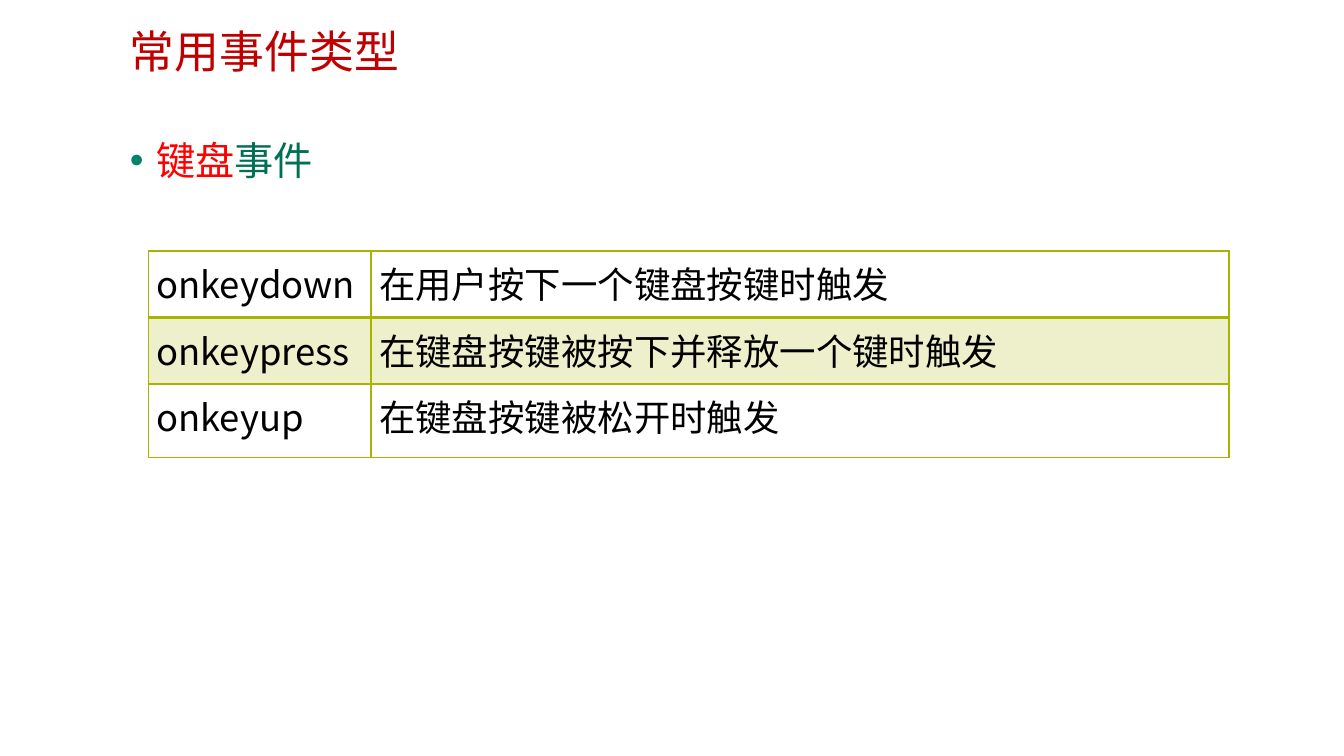
from lxml.etree import SubElement
from pptx import Presentation
from pptx.dml.color import RGBColor
from pptx.enum.text import MSO_ANCHOR
from pptx.oxml.ns import qn
from pptx.util import Inches, Pt

FONT = "Noto Sans CJK SC"
OLIVE = "A8B400"


def add_text(paragraph, text, size, color, font=FONT):
    """Add one run with its size, colour and Latin and East Asian fonts."""
    run = paragraph.add_run()
    run.text = text
    run.font.size = Pt(size)
    run.font.name = font
    run.font.color.rgb = RGBColor.from_string(color)
    SubElement(run._r.get_or_add_rPr(), qn("a:ea"), typeface=FONT)


def add_border(cell, side, width):
    """Draw one olive border of a cell."""
    line = SubElement(cell._tc.get_or_add_tcPr(), qn(f"a:ln{side}"), w=str(Pt(width)))
    fill = SubElement(line, qn("a:solidFill"))
    SubElement(fill, qn("a:srgbClr"), val=OLIVE)


presentation = Presentation()
presentation.slide_width = Inches(13.33)
presentation.slide_height = Inches(7.5)
slide = presentation.slides.add_slide(presentation.slide_layouts[6])

# Keyboard event table
events = [
    ("onkeydown", "在用户按下一个键盘按键时触发"),
    ("onkeypress", "在键盘按键被按下并释放一个键时触发"),
    ("onkeyup", "在键盘按键被松开时触发"),
]
table = slide.shapes.add_table(
    len(events), 2, Inches(1.47), Inches(2.49), Inches(10.72), Inches(2.05)
).table
table.first_row = False
table.horz_banding = False
for column, width in zip(table.columns, (2.21, 8.51)):
    column.width = Inches(width)
for row, height in zip(table.rows, (0.66, 0.66, 0.73)):
    row.height = Inches(height)

for row_index, event in enumerate(events):
    for column_index, (text, font) in enumerate(zip(event, (FONT, "Arial"))):
        cell = table.cell(row_index, column_index)
        cell.margin_left = cell.margin_right = Inches(0.08)
        cell.margin_top, cell.margin_bottom = Inches(0.05), 0
        cell.vertical_anchor = MSO_ANCHOR.TOP
        paragraph = cell.text_frame.paragraphs[0]
        paragraph.line_spacing = Pt(38)
        add_text(paragraph, text, 26, "000000", font)
        # The rule under the first row is the heavy one
        add_border(cell, "L", 1)
        add_border(cell, "R", 1)
        add_border(cell, "T", 2 if row_index == 1 else 1)
        add_border(cell, "B", 2 if row_index == 0 else 1)
        if row_index == 1:
            cell.fill.solid()
            cell.fill.fore_color.rgb = RGBColor.from_string("EEF0CC")
        else:
            cell.fill.background()

# Title and bulleted subtitle
heading = slide.shapes.add_textbox(Inches(1.19), Inches(0.24), Inches(8.96), Inches(1.8))
text_frame = heading.text_frame
text_frame.word_wrap = True
text_frame.margin_top = text_frame.margin_bottom = 0
add_text(text_frame.paragraphs[0], "常用事件类型", 32, "C00000")

subtitle = text_frame.add_paragraph()
subtitle.space_before = Pt(42)
add_text(subtitle, "键盘", 28, "FF0000")
add_text(subtitle, "事件", 28, "006F53")
properties = subtitle._p.get_or_add_pPr()
properties.set("marL", str(Inches(0.26)))
properties.set("indent", str(-Inches(0.26)))
bullet_color = SubElement(properties, qn("a:buClr"))
SubElement(bullet_color, qn("a:srgbClr"), val="008469")
SubElement(properties, qn("a:buFont"), typeface="Arial")
SubElement(properties, qn("a:buChar"), char="•")

presentation.save("out.pptx")
